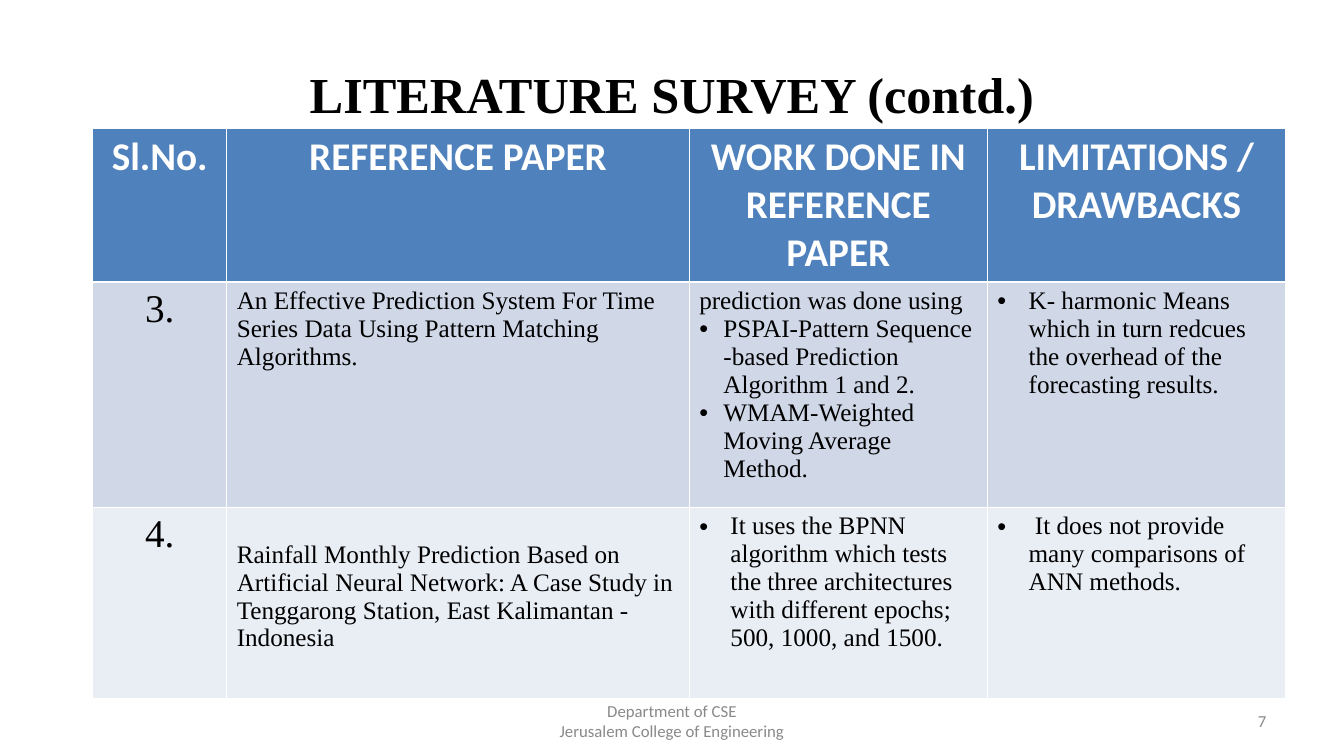
from pptx import Presentation
from pptx.dml.color import RGBColor
from pptx.enum.text import MSO_ANCHOR, PP_ALIGN
from pptx.oxml.ns import qn
from pptx.util import Inches, Pt
from lxml.etree import SubElement

SERIF, SANS = "Times New Roman", "Calibri"
BLACK, WHITE, GREY = "000000", "FFFFFF", "898989"
HEADER, BAND_DARK, BAND_LIGHT = "4F81BD", "D0D8E8", "E9EDF4"
LEFT, CENTER, RIGHT = PP_ALIGN.LEFT, PP_ALIGN.CENTER, PP_ALIGN.RIGHT


def color(value):
    return RGBColor.from_string(value)


def entry(text, size=18, font=SERIF, fill=BLACK, bold=False, align=LEFT, indent=0):
    return dict(text=text, size=size, font=font, fill=fill, bold=bold,
                align=align, indent=indent)


def write(p, text, size, font, fill, bold, align, indent):
    p.alignment = align
    if indent:
        pPr = p._p.get_or_add_pPr()
        pPr.set("marL", str(Inches(indent)))
        pPr.set("indent", str(-Inches(indent)))
        SubElement(pPr, qn("a:buFont"), typeface="Arial")
        SubElement(pPr, qn("a:buChar"), char="•")
    r = p.add_run()
    r.text = text
    r.font.name = font
    r.font.size = Pt(size)
    r.font.bold = bold
    r.font.color.rgb = color(fill)


def fill_text(tf, entries):
    for i, item in enumerate(entries):
        write(tf.add_paragraph() if i else tf.paragraphs[0], **item)


def border(cell, sides, width):
    tcPr = cell._tc.get_or_add_tcPr()
    for side in sides:
        ln = SubElement(tcPr, qn(f"a:ln{side}"), w=str(Pt(width)))
        solid = SubElement(ln, qn("a:solidFill"))
        SubElement(solid, qn("a:srgbClr"), val=WHITE)


class Deck:
    def __init__(self, width, height):
        self.prs = Presentation()
        self.prs.slide_width = Inches(width)
        self.prs.slide_height = Inches(height)
        self.s = self.prs.slides.add_slide(self.prs.slide_layouts[5])

    def col(self, n):
        return int(self.prs.slide_width * n / 100)

    def row(self, n):
        return int(self.prs.slide_height * n / 100)

    def area(self, x, y, w, h):
        return self.col(x), self.row(y), self.col(w), self.row(h)

    def title(self, area, item):
        sp = self.s.shapes.title
        sp.left, sp.top, sp.width, sp.height = self.area(*area)
        sp.text_frame.vertical_anchor = MSO_ANCHOR.MIDDLE
        fill_text(sp.text_frame, [item])

    def text(self, area, entries):
        tf = self.s.shapes.add_textbox(*self.area(*area)).text_frame
        tf.word_wrap = True
        tf.vertical_anchor = MSO_ANCHOR.MIDDLE
        fill_text(tf, entries)

    def table(self, x, y, widths, heights, rows, fills):
        area = self.area(x, y, sum(widths), sum(heights))
        table = self.s.shapes.add_table(len(rows), len(widths), *area).table
        for column, w in zip(table.columns, widths):
            column.width = self.col(w)
        for line, h in zip(table.rows, heights):
            line.height = self.row(h)
        for i, (row, fill) in enumerate(zip(rows, fills)):
            for j, entries in enumerate(row):
                cell = table.cell(i, j)
                border(cell, "LR", 0.45)
                border(cell, "T", 1.47 if i == 1 else 0.45)
                border(cell, "B", 1.47 if i == 0 else 0.45)
                cell.fill.solid()
                cell.fill.fore_color.rgb = color(fill)
                fill_text(cell.text_frame, entries)
        return table


def heading(text):
    return [entry(text, size=28, font=SANS, fill=WHITE, bold=True, align=CENTER)]


def number(text):
    return [entry(text, size=28, align=CENTER)]


def bullet(text, indent=0.31):
    return entry(text, indent=indent)


def footer(text, align):
    return entry(text, size=12, font=SANS, fill=GREY, align=align)


def main():
    deck = Deck(13.34, 7.5)
    deck.title((5, 4, 90, 16.67),
               entry("LITERATURE SURVEY (contd.)", size=36, bold=True, align=CENTER))
    deck.text((71.67, 92.67, 23.3, 5.33), [footer("7", RIGHT)])
    deck.text((34.2, 92.67, 31.6, 5.33),
              [footer("Department of CSE", CENTER),
               footer("Jerusalem College of Engineering", CENTER)])
    rows = [
        [heading(t) for t in ("Sl.No.", "REFERENCE PAPER",
                              "WORK DONE IN REFERENCE PAPER", "LIMITATIONS / DRAWBACKS")],
        [number("3."),
         [entry("An Effective Prediction System For Time Series Data Using "
                "Pattern Matching Algorithms.")],
         [entry("prediction was done using"),
          bullet("PSPAI-Pattern Sequence -based Prediction Algorithm 1 and 2.", 0.24),
          bullet("WMAM-Weighted Moving Average Method.", 0.24)],
         [bullet("K- harmonic Means which in turn redcues the overhead of the "
                 "forecasting results.")]],
        [number("4."),
         [entry("Rainfall Monthly Prediction Based on Artificial Neural Network: "
                "A Case Study in Tenggarong Station, East Kalimantan -"),
          entry("Indonesia")],
         [bullet("It uses the BPNN algorithm which tests the three architectures "
                 "with different epochs; 500, 1000, and 1500.")],
         [bullet(" It does not provide many comparisons of ANN methods.")]],
    ]
    table = deck.table(6.9, 16.93, (9.97, 34.41, 22.19, 22.19), (20.4, 29.8, 25.2),
                       rows, (HEADER, BAND_DARK, BAND_LIGHT))
    table.cell(2, 1).margin_top = deck.row(4.4)
    deck.prs.save("out.pptx")


if __name__ == "__main__":
    main()
